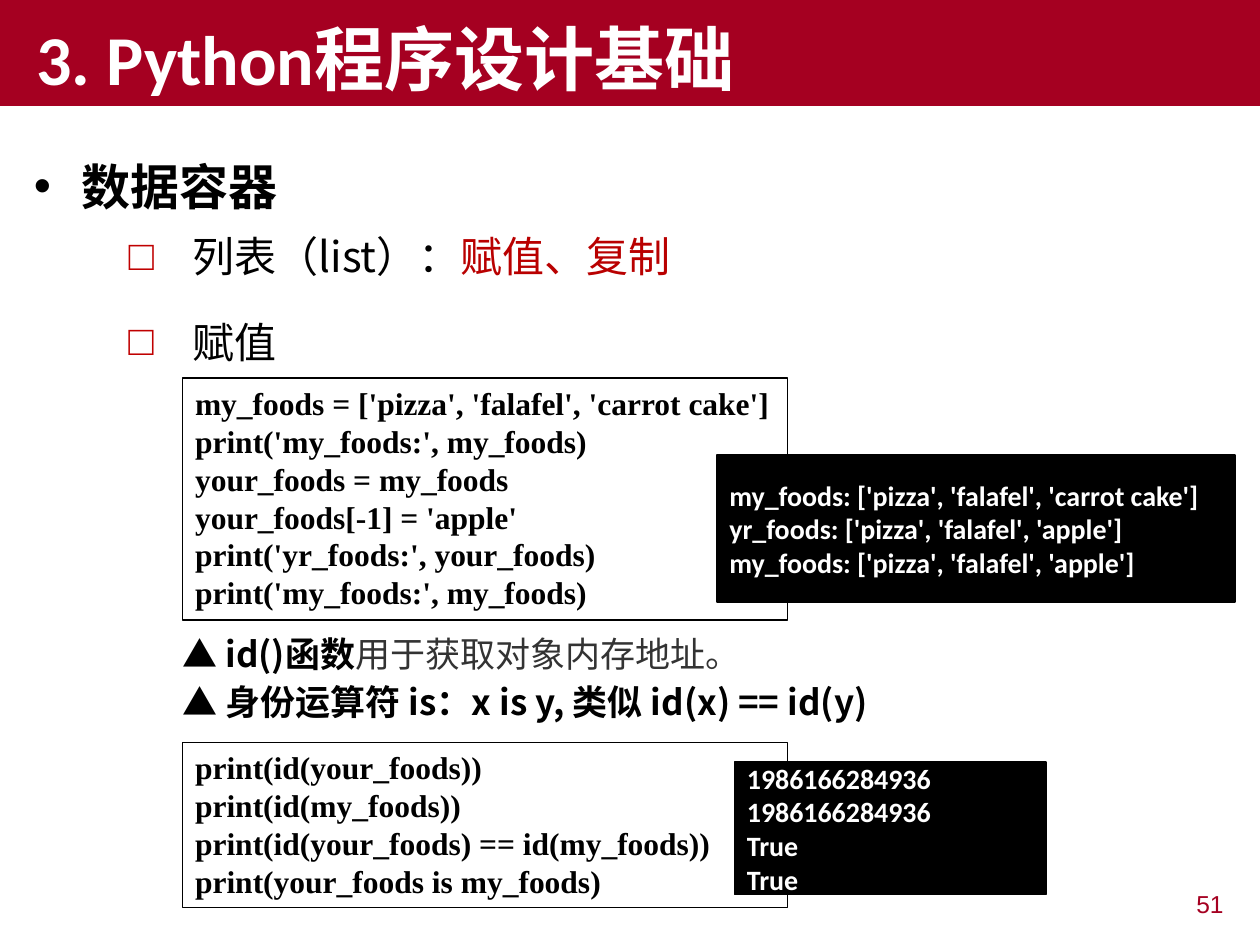
from dataclasses import dataclass

from lxml.etree import SubElement
from pptx import Presentation
from pptx.dml.color import RGBColor as Color
from pptx.enum.shapes import MSO_SHAPE as Shape
from pptx.enum.text import MSO_ANCHOR as Anchor, MSO_AUTO_SIZE as Fit, PP_ALIGN as Align
from pptx.oxml.ns import qn
from pptx.util import Inches, Pt


@dataclass(frozen=True)
class Theme:
    """Colours, typefaces and text formats of the deck."""
    crimson: str = "A50021"
    bullet: str = "C00000"
    black: str = "000000"
    sans: str = "Noto Sans CJK SC"

    def style(self, name):
        """Return the format values of one kind of text."""
        face, size, bold, color = {
            "title": ("Calibri", 40, True, "FFFFFF"),
            "topic": (self.sans, 28, True, self.black),
            "item": (self.sans, 24, False, self.black),
            "accent": (self.sans, 24, False, "B90000"),
            "code": ("Times New Roman", 18, True, self.black),
            "output": ("Calibri", 16, True, "FFFFFF"),
            "note": (self.sans, 20, True, self.black),
            "remark": (self.sans, 20, False, "333333"),
            "number": ("Arial", 14, False, self.crimson),
        }[name]
        return {"name": face, "size": Pt(size), "bold": bold}, color


@dataclass(frozen=True)
class Box:
    """A region in grid cells, with 100 columns and 75 rows on the page."""
    left: float
    top: float
    width: float
    height: float

    def inset(self, column, row, width, height):
        """Return a box offset from this one."""
        return Box(self.left + column, self.top + row, width, height)

    def lengths(self):
        """Return the four lengths of the box."""
        return [Inches(cells / 10) for cells in (self.left, self.top, self.width, self.height)]


THEME = Theme()


def write(shape, lines, anchor=Anchor.TOP, fit=Fit.NONE, align=Align.LEFT):
    """Fill a shape with lines, each a list of (text, style) pairs."""
    frame = shape.text_frame
    settings = {"word_wrap": True, "vertical_anchor": anchor, "auto_size": fit}
    for name, value in settings.items():
        setattr(frame, name, value)
    for index, line in enumerate(lines):
        para = frame.add_paragraph() if index else frame.paragraphs[0]
        para.alignment = align
        para.space_before = Pt(0)
        for text, style in line:
            span = para.add_run()
            span.text = text
            values, color = THEME.style(style)
            for name, value in values.items():
                setattr(span.font, name, value)
            span.font.color.rgb = Color.from_string(color)
            SubElement(span._r.get_or_add_rPr(), qn("a:ea"), typeface=THEME.sans)
    return frame.paragraphs[0]


def indent(para, margin, first):
    """Set the left margin and first-line indent in inches."""
    properties = para._p.get_or_add_pPr()
    properties.set("marL", str(Inches(margin)))
    properties.set("indent", str(Inches(first)))
    return properties


def bullet(para, mark, hang, color):
    """Give a paragraph a hanging bullet."""
    properties = indent(para, hang, -hang)
    tint = SubElement(properties, qn("a:buClr"))
    SubElement(tint, qn("a:srgbClr"), val=color)
    SubElement(properties, qn("a:buFont"), typeface="Arial")
    SubElement(properties, qn("a:buChar"), char=mark)


def place(shape, box):
    """Move a placeholder to a box."""
    for name, value in zip(("left", "top", "width", "height"), box.lengths()):
        setattr(shape, name, value)
    return shape


def text_box(page, box):
    """Add an empty text box."""
    return page.shapes.add_textbox(*box.lengths())


def panel(page, box, line_width, fill=None):
    """Add a black-edged rectangle, filled or open."""
    shape = page.shapes.add_shape(Shape.RECTANGLE, *box.lengths())
    shape.shadow.inherit = False
    shape.line.color.rgb = Color.from_string(THEME.black)
    shape.line.width = Pt(line_width)
    if fill:
        shape.fill.solid()
        shape.fill.fore_color.rgb = Color.from_string(fill)
    else:
        shape.fill.background()
    return shape


def header(page, box, text):
    """Build the title band."""
    title = place(page.shapes.title, box)
    title.fill.solid()
    title.fill.fore_color.rgb = Color.from_string(THEME.crimson)
    indent(write(title, [[(text, "title")]], Anchor.BOTTOM), 0, 0.19)


def outline(page, box, topic, body, step):
    """Build the topic and its two list items."""
    para = write(text_box(page, box.inset(0, 0, 93.9, 5.7)), [[(topic, "topic")]], fit=Fit.SHAPE_TO_FIT_TEXT)
    bullet(para, "•", 0.38, THEME.black)
    items = (
        (place(page.placeholders[1], box.inset(7.5, 5.9, 90.2, 33.6)), body),
        (text_box(page, box.inset(7.5, 12.7, 88.9, 22.5)), step),
    )
    for shape, line in items:
        bullet(write(shape, [line]), "□", 0.51, THEME.bullet)


def listing(page, box, code, output, output_box):
    """Build a code frame with its console output over the right edge."""
    frame = panel(page, box, 0.75)
    write(frame, [[(line, "code")] for line in code], fit=Fit.SHAPE_TO_FIT_TEXT)
    console = panel(page, box.inset(*output_box), 1, THEME.black)
    write(console, [[(line, "output")] for line in output], Anchor.MIDDLE)


def notes(page, box, lines):
    """Build the remarks between the listings."""
    for index, (width, line) in enumerate(lines):
        spot = box.inset(0, index * 3.8, width, 4.4)
        write(text_box(page, spot), [line], fit=Fit.SHAPE_TO_FIT_TEXT)


def page_number(page, box, number):
    """Build the page number."""
    write(text_box(page, box), [[(number, "number")]], align=Align.RIGHT)


def main():
    """Build and save the deck."""
    deck = Presentation()
    deck.slide_width, deck.slide_height = Inches(10), Inches(7.5)
    page = deck.slides.add_slide(deck.slide_layouts[1])
    header(page, Box(0, 0, 100, 8.4), "3. Python程序设计基础")
    outline(page, Box(1.7, 11.9, 97.7, 39.5), "数据容器",
            [("列表（list）：", "item"), ("赋值、复制", "accent")], [("赋值", "item")])
    page_number(page, Box(76.4, 70.1, 21.7, 3.9), "51")
    listing(page, Box(14.5, 30, 48, 19.2), (
        "my_foods = ['pizza', 'falafel', 'carrot cake']",
        "print('my_foods:', my_foods)",
        "your_foods = my_foods",
        "your_foods[-1] = 'apple'",
        "print('yr_foods:', your_foods)",
        "print('my_foods:', my_foods)",
    ), (
        "my_foods: ['pizza', 'falafel', 'carrot cake']",
        "yr_foods: ['pizza', 'falafel', 'apple']",
        "my_foods: ['pizza', 'falafel', 'apple']",
    ), (42.4, 6.1, 41.1, 11.7))
    notes(page, Box(13.5, 49.7, 66.3, 8.2), (
        (49, [("▲ id()函数", "note"), ("用于获取对象内存地址。", "remark")]),
        (66.3, [("▲ 身份运算符 is：x is y, 类似 id(x) == id(y) ", "note")]),
    ))
    listing(page, Box(14.5, 58.9, 48, 13.1), (
        "print(id(your_foods))",
        "print(id(my_foods))",
        "print(id(your_foods) == id(my_foods))",
        "print(your_foods is my_foods)",
    ), ("1986166284936", "1986166284936", "True", "True"), (43.8, 1.6, 24.7, 10.5))
    deck.save("out.pptx")


if __name__ == "__main__":
    main()
